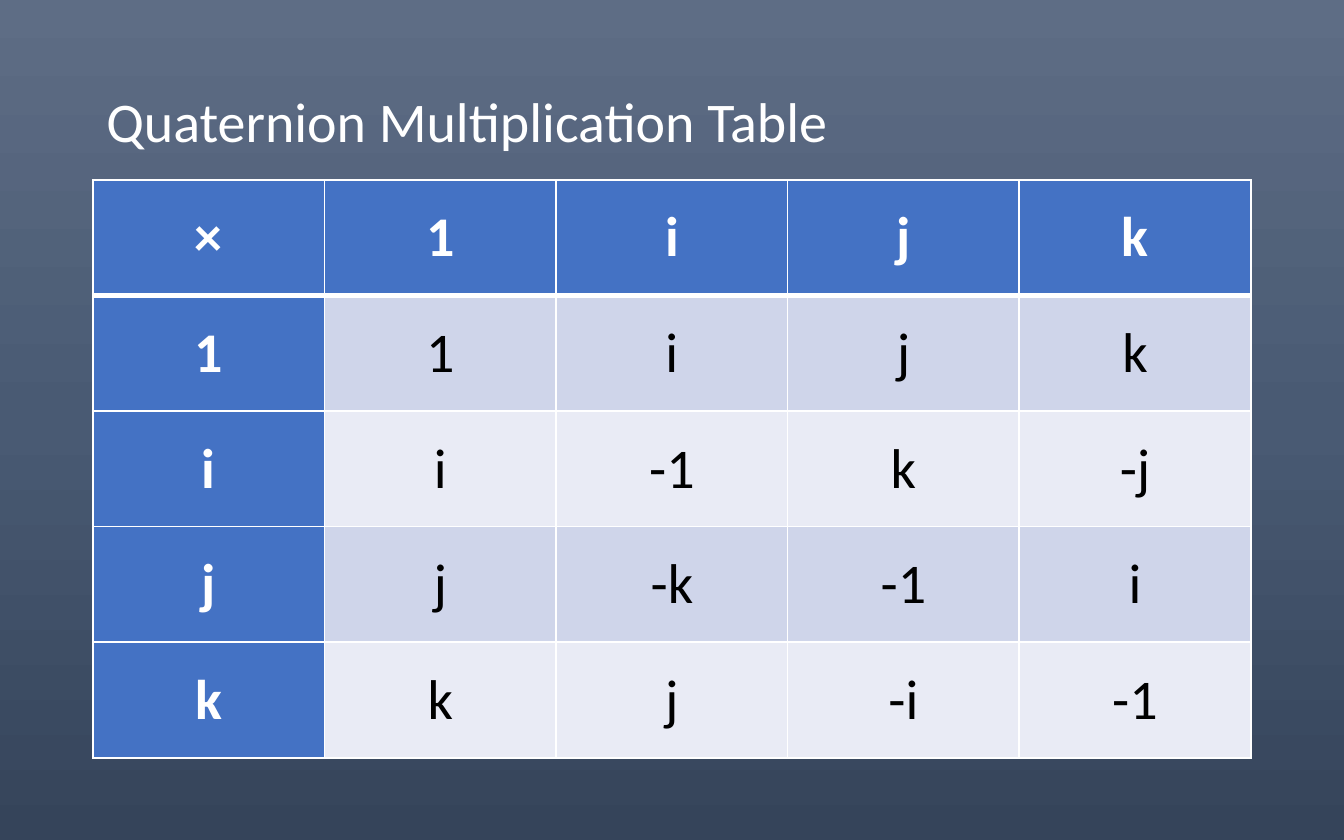
import copy

import pptx
import pptx.dml.color
import pptx.enum.text
import pptx.oxml
import pptx.oxml.ns
import pptx.util

EMU_PER_PX = 914400 / 134.4
COLORS = {
    "white": "FFFFFF",
    "black": "000000",
    "header": "4472C4",
    "band_dark": "CFD5EA",
    "band_light": "E9EBF5",
    "sky_top": "5E6D85",
    "sky_middle": "495A73",
    "sky_bottom": "35445A",
}
PRODUCTS = [
    ["×", "1", "i", "j", "k"],
    ["1", "1", "i", "j", "k"],
    ["i", "i", "-1", "k", "-j"],
    ["j", "j", "-k", "-1", "i"],
    ["k", "k", "j", "-i", "-1"],
]


def px(length):
    return pptx.util.Emu(round(length * EMU_PER_PX))


def rgb(name):
    return pptx.dml.color.RGBColor.from_string(COLORS[name])


class SlideBuilder:
    font_name = "Calibri"
    font_size = 30

    def __init__(self, page):
        self.page = page

    def background(self, names):
        fill = self.page.background.fill
        fill.gradient()
        fill.gradient_angle = 270
        stop_list = next(self.page.element.iter(pptx.oxml.ns.qn("a:gsLst")))
        for _ in names[2:]:
            stop_list.append(copy.deepcopy(stop_list[0]))
        for index, (stop, name) in enumerate(zip(fill.gradient_stops, names)):
            stop.position = index / (len(names) - 1)
            stop.color.rgb = rgb(name)

    def style(self, para, color, bold=False):
        for span in para.runs:
            span.font.name = self.font_name
            span.font.size = pptx.util.Pt(self.font_size)
            span.font.bold = bold
            span.font.color.rgb = rgb(color)

    def title(self, text, left, top, width, height):
        box = self.page.shapes.add_textbox(px(left), px(top), px(width), px(height))
        frame = box.text_frame
        frame.word_wrap = True
        frame.vertical_anchor = pptx.enum.text.MSO_ANCHOR.MIDDLE
        frame.text = text
        para = frame.paragraphs[0]
        para.line_spacing = 1.1
        self.style(para, "white")

    def borders(self, cell, widths):
        properties = cell._tc.get_or_add_tcPr()
        for index, (side, points) in enumerate(widths.items()):
            line = pptx.oxml.parse_xml(
                f'<a:ln{side} {pptx.oxml.ns.nsdecls("a")} w="{pptx.util.Pt(points)}">'
                f'<a:solidFill><a:srgbClr val="{COLORS["white"]}"/></a:solidFill>'
                f'</a:ln{side}>'
            )
            properties.insert(index, line)

    def table(self, rows, left, top, width, height):
        frame = self.page.shapes.add_table(
            len(rows), len(rows[0]), px(left), px(top), px(width), px(height)
        )
        grid = frame.table
        grid.first_col = True
        for r, row in enumerate(rows):
            for c, text in enumerate(row):
                cell = grid.cell(r, c)
                is_header = r == 0 or c == 0
                band = "band_dark" if r % 2 else "band_light"
                cell.fill.solid()
                cell.fill.fore_color.rgb = rgb("header" if is_header else band)
                cell.vertical_anchor = pptx.enum.text.MSO_ANCHOR.MIDDLE
                cell.text_frame.text = text
                para = cell.text_frame.paragraphs[0]
                para.alignment = pptx.enum.text.PP_ALIGN.CENTER
                self.style(para, "white" if is_header else "black", is_header)
                # A heavier rule separates the header row from the body
                self.borders(cell, {"L": 1, "R": 1, "T": 3 if r == 1 else 1,
                                    "B": 3 if r == 0 else 1})


def main():
    deck = pptx.Presentation()
    deck.slide_width, deck.slide_height = px(1344), px(840)
    page = deck.slides.add_slide(deck.slide_layouts[6])
    builder = SlideBuilder(page)

    # Background
    builder.background(["sky_top", "sky_middle", "sky_bottom"])

    # Title
    builder.title("Quaternion Multiplication Table", 93, 62, 1158, 110)

    # Multiplication table
    builder.table(PRODUCTS, 93, 180, 1158, 578)

    deck.save("out.pptx")


if __name__ == "__main__":
    main()
